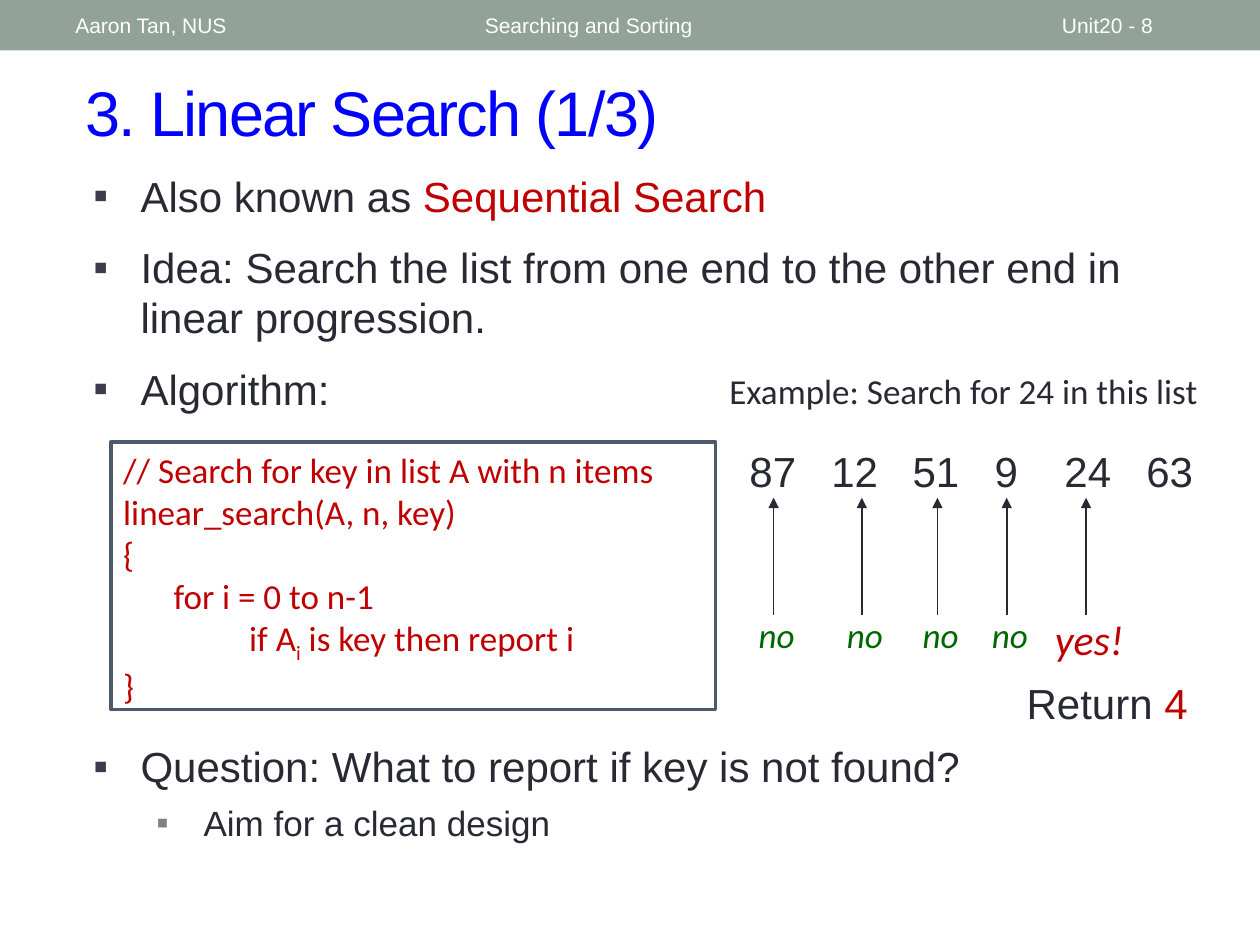
from lxml import etree
from pptx import Presentation
from pptx.dml.color import RGBColor
from pptx.enum.shapes import MSO_CONNECTOR, MSO_SHAPE
from pptx.enum.text import MSO_ANCHOR, MSO_AUTO_SIZE, PP_ALIGN
from pptx.oxml.ns import qn
from pptx.util import Inches, Pt

RECTANGLE = MSO_SHAPE.RECTANGLE
STRAIGHT = MSO_CONNECTOR.STRAIGHT
TOP, MIDDLE = MSO_ANCHOR.TOP, MSO_ANCHOR.MIDDLE
LEFT, CENTER = PP_ALIGN.LEFT, PP_ALIGN.CENTER
NO_AUTOFIT = MSO_AUTO_SIZE.NONE

COLORS = {
    "band": "93A299", "white": "FFFFFF", "title": "0000FF", "text": "292934",
    "accent": "C00000", "miss": "006600", "border": "4C5A6A",
    "bullet": "3B3B4B", "sub_bullet": "808080",
}
SLIDE_WIDTH, SLIDE_HEIGHT = Inches(10), Inches(7.5)
COLUMN, ROW = SLIDE_WIDTH / 100, SLIDE_HEIGHT / 75


def color(name):
    """Return the named colour of the palette."""
    return RGBColor.from_string(COLORS[name])


def grid(left, top, width, height):
    """Turn columns and rows into slide lengths."""
    return (round(left * COLUMN), round(top * ROW),
            round(width * COLUMN), round(height * ROW))


def style(paragraph, size, color_name="text", face="Arial", italic=None, align=LEFT):
    """Set the font and alignment of a whole paragraph."""
    paragraph.alignment = align
    paragraph.font.name = face
    paragraph.font.size = Pt(size)
    paragraph.font.italic = italic
    paragraph.font.color.rgb = color(color_name)


def add_run(paragraph, text, color_name=None, **attributes):
    """Append a run that may differ in colour or in character attributes."""
    run = paragraph.add_run()
    run.text = text
    if color_name:
        run.font.color.rgb = color(color_name)
    for name, value in attributes.items():
        run.font._element.set(name, value) if hasattr(run.font, "_element") else \
            run._r.get_or_add_rPr().set(name, value)


def set_tabs(paragraph, stops):
    """Give a paragraph left tab stops, in columns from the text edge."""
    tab_list = etree.SubElement(paragraph._p.get_or_add_pPr(), qn("a:tabLst"))
    for stop in stops:
        etree.SubElement(tab_list, qn("a:tab"), pos=str(round(stop * COLUMN)), algn="l")


def set_bullet(paragraph, indent, color_name):
    """Give a paragraph a square bullet and a hanging indent, in columns."""
    properties = paragraph._p.get_or_add_pPr()
    properties.set("marL", str(round(indent * COLUMN)))
    properties.set("indent", str(round(-3.75 * COLUMN)))
    bullet_color = etree.SubElement(properties, qn("a:buClr"))
    etree.SubElement(bullet_color, qn("a:srgbClr"), val=COLORS[color_name])
    etree.SubElement(properties, qn("a:buFont"), typeface="Arial")
    etree.SubElement(properties, qn("a:buChar"), char="▪")


def add_label(slide, box, text, size, anchor=TOP, stops=(), **font):
    """Add a one-paragraph text box and return its paragraph."""
    frame = slide.shapes.add_textbox(*grid(*box)).text_frame
    frame.word_wrap = True
    frame.vertical_anchor = anchor
    paragraph = frame.paragraphs[0]
    if stops:
        set_tabs(paragraph, stops)
    add_run(paragraph, text)
    style(paragraph, size, **font)
    return paragraph


def add_rectangle(slide, box, fill):
    """Add a plain filled rectangle without outline."""
    shape = slide.shapes.add_shape(RECTANGLE, *grid(*box))
    shape.shadow.inherit = False
    shape.fill.solid()
    shape.fill.fore_color.rgb = color(fill)
    shape.line.fill.background()
    return shape


def add_header(slide, box):
    """Add the top band with author, topic and page."""
    left, top, width, height = box
    add_rectangle(slide, box, "band")
    for share, span, text in ((0.05, 0.32, "Aaron Tan, NUS"),
                              (0.375, 0.45, "Searching and Sorting"),
                              (0.833, 0.117, "Unit20 - 8")):
        label_box = (left + share * width, top + 0.2, span * width, height - 0.4)
        add_label(slide, label_box, text, 12, MIDDLE, color_name="white")


def fill_title(title, box, text):
    """Place and format the title placeholder."""
    title.left, title.top, title.width, title.height = grid(*box)
    frame = title.text_frame
    frame.auto_size = NO_AUTOFIT
    frame.vertical_anchor = MIDDLE
    paragraph = frame.paragraphs[0]
    add_run(paragraph, text, spc="-100")
    style(paragraph, 36, "title")


def fill_list(body, box, items):
    """Fill a body placeholder with bulleted items of (level, runs)."""
    body.left, body.top, body.width, body.height = grid(*box)
    frame = body.text_frame
    frame.auto_size = NO_AUTOFIT
    for index, (level, runs) in enumerate(items):
        paragraph = frame.add_paragraph() if index else frame.paragraphs[0]
        paragraph.level = level
        set_bullet(paragraph, 3.75 + 5 * level, "sub_bullet" if level else "bullet")
        paragraph.space_before = Pt((6 if level else 12) if index else 0)
        for run in runs:
            add_run(paragraph, *run)
        style(paragraph, 20 if level else 24)


def add_code(slide, box):
    """Add the framed pseudocode."""
    shape = add_rectangle(slide, box, "white")
    shape.line.color.rgb = color("border")
    shape.line.width = Pt(2.08)
    frame = shape.text_frame
    frame.word_wrap = True
    frame.vertical_anchor = TOP
    lines = (
        [("// Search for key in list A with n items",)],
        [("linear_search(A, n, key)",)],
        [("{",)],
        [("\tfor i = 0 to n-1",)],
        [("  \t\tif A",), ("i", "subscript"), (" is key then report i",)],
        [("}",)],
    )
    for index, runs in enumerate(lines):
        paragraph = frame.add_paragraph() if index else frame.paragraphs[0]
        set_tabs(paragraph, (4, 10))
        for text, *subscript in runs:
            add_run(paragraph, text, **({"baseline": "-25000"} if subscript else {}))
        style(paragraph, 20, "accent", "Calibri")


def add_probe(slide, box, text, size, color_name):
    """Add an upward arrow with its verdict below."""
    left, top, width, height = box
    x, y, _, length = grid(left + 3.9, top, 0, 9.3)
    arrow = slide.shapes.add_connector(STRAIGHT, x, y + length, x, y)
    arrow.line.color.rgb = color("text")
    arrow.line.width = Pt(1)
    etree.SubElement(arrow.line._get_or_add_ln(), qn("a:tailEnd"), type="triangle")
    etree.SubElement(arrow._element.spPr, qn("a:effectLst"))
    add_label(slide, (left, top + 8.7, width, height - 8.7), text, size,
              color_name=color_name, face="Calibri", italic=True, align=CENTER)


def add_example(slide, box):
    """Add the worked search: caption, list, probes and result."""
    left, top, width, height = box
    add_label(slide, (left, top, width, 4.4), "Example: Search for 24 in this list",
              20, face="Calibri")
    add_label(slide, (left + 1.6, top + 6.1, 38.6, 5.1), "87\t12\t51\t9\t24\t63", 24,
              stops=(6.5, 12.95, 19.45, 25, 31.5))
    for offset in (0.6, 7.6, 13.6, 19.1):
        add_probe(slide, (left + offset, top + 10.7, 8.3, 13.1), "no", 20, "miss")
    add_probe(slide, (left + 25.4, top + 10.7, 8.3, 13.7), "yes!", 24, "accent")
    result = add_label(slide, (left + 23.6, top + height - 5, 16.6, 5), "Return ", 24)
    add_run(result, "4", "accent")


def main():
    """Build the linear search slide."""
    presentation = Presentation()
    presentation.slide_width, presentation.slide_height = SLIDE_WIDTH, SLIDE_HEIGHT
    slide = presentation.slides.add_slide(presentation.slide_layouts[3])
    title, overview, question = slide.placeholders
    add_header(slide, (0, 0, 100, 4))
    fill_title(title, (5.8, 4.2, 91.7, 9.2), "3. Linear Search (1/3)")
    fill_list(overview, (6.4, 13, 90, 22.1), (
        (0, [("Also known as ",), ("Sequential Search", "accent")]),
        (0, [("Idea: Search the list from one end to the other end in "
              "linear progression.",)]),
        (0, [("Algorithm:",)]),
    ))
    add_code(slide, (8.8, 35.1, 48, 21.2))
    add_example(slide, (56.9, 28.8, 42.1, 29.5))
    fill_list(question, (6.4, 58.3, 90, 11.1), (
        (0, [("Question: What to report if key is not found?",)]),
        (1, [("Aim for a clean design",)]),
    ))
    presentation.save("out.pptx")


if __name__ == "__main__":
    main()
